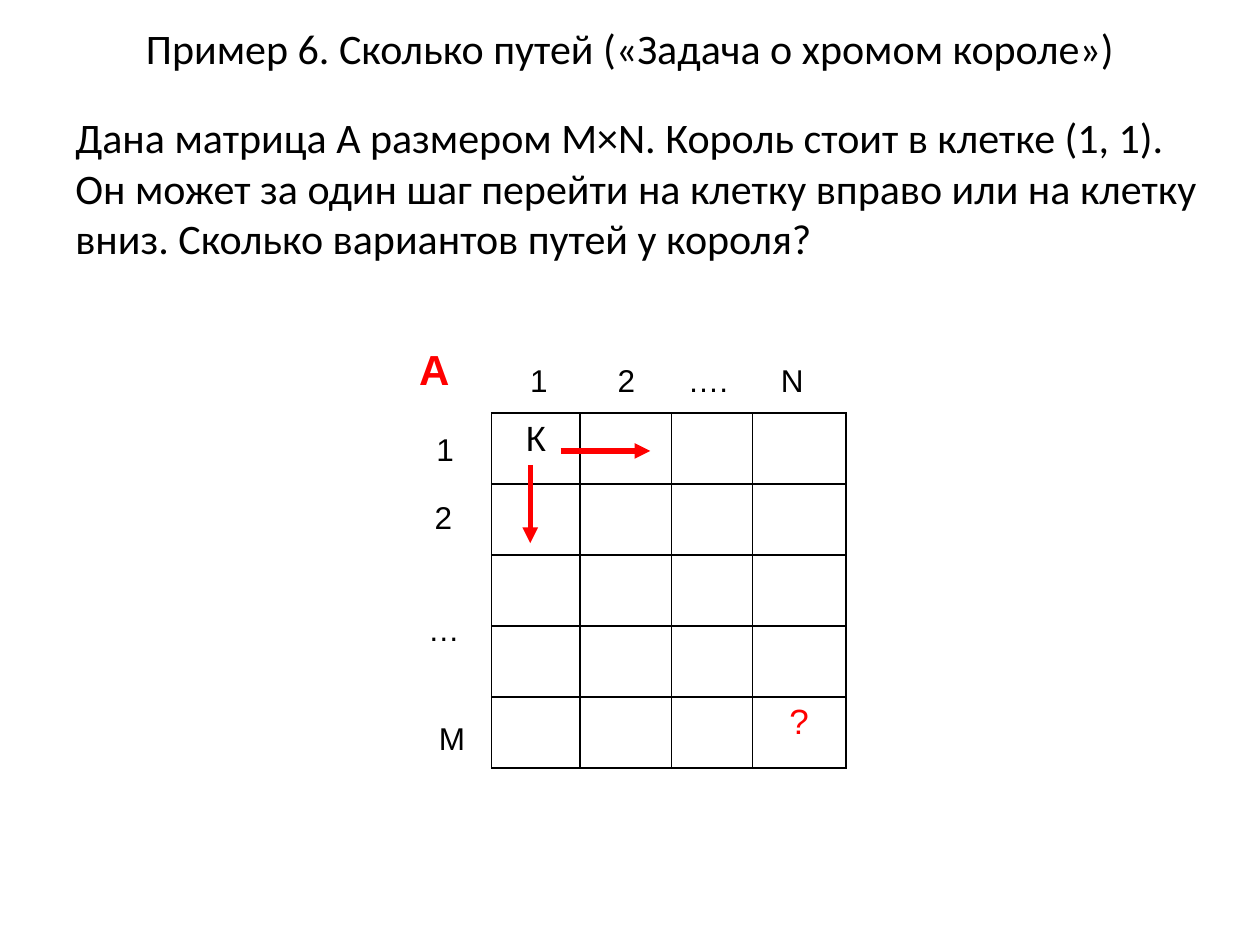
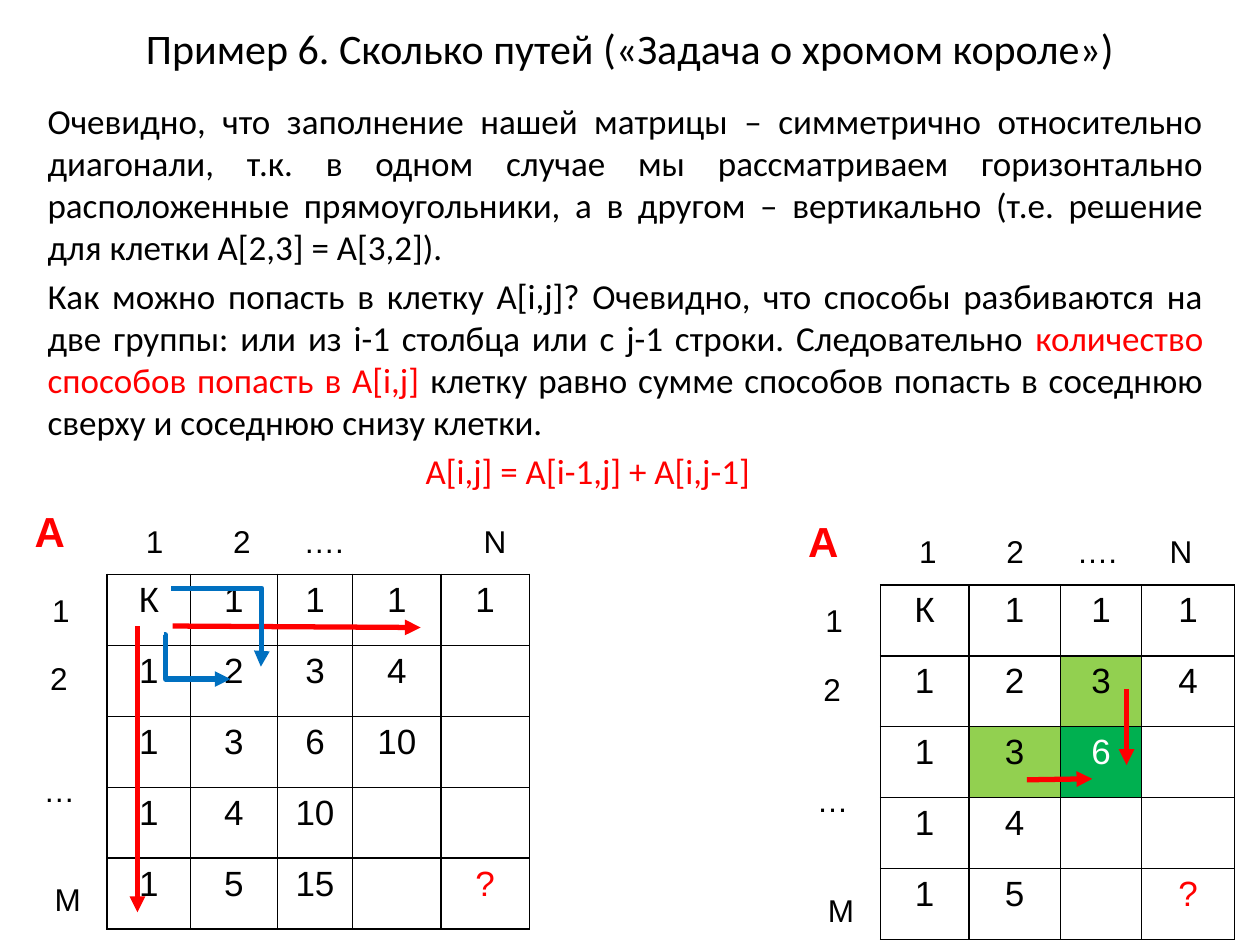
from dataclasses import dataclass, field

import pptx
import pptx.dml.color
import pptx.enum.shapes
import pptx.enum.text
import pptx.oxml
import pptx.oxml.ns
import pptx.oxml.xmlchemy
import pptx.presentation
import pptx.shapes.connector
import pptx.slide
import pptx.table
import pptx.text.text
import pptx.util
from lxml import etree

Cm = pptx.util.Cm
Pt = pptx.util.Pt
Align = pptx.enum.text.PP_ALIGN
Connector = pptx.enum.shapes.MSO_CONNECTOR
qn = pptx.oxml.ns.qn


# Shared look
@dataclass(frozen=True)
class Theme:
    black: str = "000000"
    white: str = "FFFFFF"
    red: str = "FF0000"
    blue: str = "0070C0"
    light_green: str = "92D050"
    dark_green: str = "00B050"
    text_font: str = "Calibri"
    matrix_font: str = "Arial"
    large: float = 24
    medium: float = 20
    label: float = 18
    arrow_width: float = 3
    border_width: float = 1


THEME = Theme()
TITLE = "Пример 6. Сколько путей («Задача о хромом короле»)"


# Descriptions of repeated elements; all lengths are centimetres
@dataclass(frozen=True)
class Box:
    left: float
    top: float
    width: float
    height: float


@dataclass(frozen=True)
class Style:
    size: float
    font: str = THEME.text_font
    color: str = THEME.black
    bold: bool = False


@dataclass(frozen=True)
class TextLine:
    runs: tuple[tuple[str, Style], ...]
    align: Align = Align.LEFT
    space_before: float = 0
    indent: float = 0
    tab_stops: tuple[float, ...] = ()


@dataclass(frozen=True)
class Arrow:
    start: tuple[float, float]
    end: tuple[float, float]
    color: str = THEME.red
    bend: float | None = None  # share of the width at which the elbow turns


@dataclass(frozen=True)
class RowLabel:
    text: str
    left: float
    top: float
    width: float


@dataclass(frozen=True)
class Matrix:
    left: float
    top: float
    columns: tuple[float, ...]
    rows: tuple[tuple[str, ...], ...]
    header_width: float
    header_stops: tuple[float, ...]
    arrows: tuple[Arrow, ...]
    fills: dict[tuple[int, int], str] = field(default_factory=dict)


ROW_HEIGHT = 1.43
LABEL_HEIGHT = 1.02
ROW_LABELS = (  # offsets from the corner of the matrix
    RowLabel("1", -1.36, 0.21, 0.86),
    RowLabel("2", -1.4, 1.59, 0.86),
    RowLabel("…", -1.53, 3.84, 1.14),
    RowLabel("M", -1.31, 6.04, 1.04),
)
BODY = Style(THEME.large)
BODY_SMALL = Style(THEME.medium)
BODY_RED = Style(THEME.medium, color=THEME.red)
LABEL = Style(THEME.label, THEME.matrix_font)
MATRIX_NAME = Style(THEME.large, THEME.matrix_font, THEME.red, True)


def rgb(color: str) -> pptx.dml.color.RGBColor:
    return pptx.dml.color.RGBColor.from_string(color)


# Text
def write_line(paragraph: pptx.text.text._Paragraph, line: TextLine) -> None:
    properties = paragraph._p.get_or_add_pPr()
    if line.indent:
        properties.set("marL", str(Cm(line.indent)))
    if line.tab_stops:
        tabs = etree.SubElement(properties, qn("a:tabLst"))
        for stop in line.tab_stops:
            etree.SubElement(tabs, qn("a:tab"), pos=str(Cm(stop)), algn="l")
    paragraph.alignment = line.align
    if line.space_before:
        paragraph.space_before = Pt(line.space_before)
    for text, style in line.runs:
        run = paragraph.add_run()
        run.text = text
        run.font.name = style.font
        run.font.size = Pt(style.size)
        run.font.bold = style.bold
        run.font.color.rgb = rgb(style.color)


def add_text(slide: pptx.slide.Slide, box: Box, *lines: TextLine,
             anchor=pptx.enum.text.MSO_ANCHOR.TOP) -> None:
    shape = slide.shapes.add_textbox(
        Cm(box.left), Cm(box.top), Cm(box.width), Cm(box.height))
    frame = shape.text_frame
    frame.word_wrap = True
    frame.vertical_anchor = anchor
    for index, line in enumerate(lines):
        paragraph = frame.add_paragraph() if index else frame.paragraphs[0]
        write_line(paragraph, line)


def add_titled_slide(presentation: pptx.presentation.Presentation) -> pptx.slide.Slide:
    slide = presentation.slides.add_slide(presentation.slide_layouts[6])
    add_text(slide, Box(1.27, 0.33, 22.86, 1.27),
             TextLine(((TITLE, BODY),), Align.CENTER),
             anchor=pptx.enum.text.MSO_ANCHOR.MIDDLE)
    return slide


# Arrows
def add_arrow(slide: pptx.slide.Slide, arrow: Arrow) -> None:
    kind = Connector.STRAIGHT if arrow.bend is None else Connector.ELBOW
    connector = slide.shapes.add_connector(
        kind, *(Cm(value) for value in arrow.start + arrow.end))
    connector.line.color.rgb = rgb(arrow.color)
    connector.line.width = Pt(THEME.arrow_width)
    properties = connector.element.find(qn("p:spPr"))
    etree.SubElement(properties.find(qn("a:ln")), qn("a:tailEnd"), type="triangle")
    etree.SubElement(properties, qn("a:effectLst"))
    if arrow.bend is not None:
        geometry = properties.find(qn("a:prstGeom"))
        for old_guides in geometry.findall(qn("a:avLst")):
            geometry.remove(old_guides)
        guides = etree.SubElement(geometry, qn("a:avLst"))
        etree.SubElement(guides, qn("a:gd"), name="adj1",
                         fmla=f"val {round(arrow.bend * 100000)}")


# Matrix with its row and column labels
def add_borders(cell: pptx.table._Cell) -> None:
    properties = cell._tc.get_or_add_tcPr()
    for index, side in enumerate(("lnL", "lnR", "lnT", "lnB")):
        border = etree.Element(qn(f"a:{side}"), w=str(Pt(THEME.border_width)))
        fill = etree.SubElement(border, qn("a:solidFill"))
        etree.SubElement(fill, qn("a:srgbClr"), val=THEME.black)
        properties.insert(index, border)


def cell_text_color(text: str, fill: str | None) -> str:
    if text == "?":
        return THEME.red
    return THEME.white if fill == THEME.dark_green else THEME.black


def add_matrix(slide: pptx.slide.Slide, matrix: Matrix) -> None:
    table = slide.shapes.add_table(
        len(matrix.rows), len(matrix.columns), Cm(matrix.left), Cm(matrix.top),
        Cm(sum(matrix.columns)), Cm(ROW_HEIGHT * len(matrix.rows))).table
    table.first_row = table.horz_banding = False
    for column, width in zip(table.columns, matrix.columns):
        column.width = Cm(width)
    for row_index, values in enumerate(matrix.rows):
        table.rows[row_index].height = Cm(ROW_HEIGHT)
        for column_index, text in enumerate(values):
            cell = table.cell(row_index, column_index)
            fill = matrix.fills.get((row_index, column_index))
            if fill:
                cell.fill.solid()
                cell.fill.fore_color.rgb = rgb(fill)
            else:
                cell.fill.background()
            add_borders(cell)
            if text:
                style = Style(THEME.medium, THEME.matrix_font, cell_text_color(text, fill))
                write_line(cell.text_frame.paragraphs[0],
                           TextLine(((text, style),), Align.CENTER))

    add_text(slide, Box(matrix.left - 1.71, matrix.top - 1.52, 1.19, 1.27),
             TextLine((("A", MATRIX_NAME),)))
    add_text(slide, Box(matrix.left, matrix.top - 1.18, matrix.header_width, LABEL_HEIGHT),
             TextLine((("\t1\t2\t….\tN", LABEL),), tab_stops=matrix.header_stops))
    for label in ROW_LABELS:
        add_text(slide, Box(matrix.left + label.left, matrix.top + label.top,
                            label.width, LABEL_HEIGHT),
                 TextLine(((label.text, LABEL),)))
    for arrow in matrix.arrows:
        add_arrow(slide, arrow)


# Content
NARROW = dict(columns=(1.78, 1.85, 1.63, 1.88), header_width=6.78,
              header_stops=(0.53, 2.29, 3.71, 5.58))
EMPTY_ROW = ("",) * 4

START_MATRIX = Matrix(
    9.91, 8.33, **NARROW,
    rows=(("К", "", "", ""), EMPTY_ROW, EMPTY_ROW, EMPTY_ROW, ("", "", "", "?")),
    arrows=(Arrow((11.3, 9.09), (13.11, 9.09)),
            Arrow((10.69, 9.37), (10.69, 10.95))),
)
SUM_MATRIX = Matrix(
    17.75, 11.79, **NARROW,
    rows=(("К", "1", "1", "1"),
          ("1", "2", "3", "4"),
          ("1", "3", "6", ""),
          ("1", "4", "", ""),
          ("1", "5", "", "?")),
    arrows=(Arrow((20.7, 15.72), (22.02, 15.7)),
            Arrow((22.71, 13.89), (22.71, 15.42))),
    fills={(1, 2): THEME.light_green, (2, 1): THEME.light_green,
           (2, 2): THEME.dark_green},
)
PATHS_MATRIX = Matrix(
    2.16, 11.58, columns=(1.68, 1.75, 1.52, 1.78, 1.78),
    header_width=8.53, header_stops=(0.53, 2.29, 3.71, 7.34),
    rows=(("К", "1", "1", "1", "1"),
          ("1", "2", "3", "4", ""),
          ("1", "3", "6", "10", ""),
          ("1", "4", "10", "", ""),
          ("1", "5", "15", "", "?")),
    arrows=(Arrow((3.48, 12.62), (8.48, 12.65)),
            Arrow((2.77, 12.62), (2.77, 18.39)),
            Arrow((3.45, 11.86), (5.26, 13.44), THEME.blue, 1.01),
            Arrow((3.3, 12.8), (4.65, 13.69), THEME.blue, 0.03)),
)
TASK = TextLine(((
    "Дана матрица A размером M×N. Король стоит в клетке (1, 1). Он может за один "
    "шаг перейти на клетку вправо или на клетку вниз. Сколько вариантов путей у "
    "короля?", BODY),))
SOLUTION = (
    TextLine(((
        "Очевидно, что заполнение нашей матрицы – симметрично относительно диагонали, "
        "т.к. в одном случае мы рассматриваем горизонтально расположенные "
        "прямоугольники, а в другом – вертикально (т.е. решение для клетки "
        "А[2,3] = A[3,2]).", BODY_SMALL),), Align.JUSTIFY),
    TextLine((
        ("Как можно попасть в клетку А[i,j]? Очевидно, что способы разбиваются на две "
         "группы: или из i-1 столбца или с j-1 строки. Следовательно ", BODY_SMALL),
        ("количество способов попасть в А[i,j] ", BODY_RED),
        ("клетку равно сумме способов попасть в соседнюю сверху и соседнюю снизу "
         "клетки.", BODY_SMALL)), Align.JUSTIFY, space_before=4),
    TextLine((("А[i,j] = А[i-1,j] + А[i,j-1]", BODY_RED),), space_before=4, indent=7.62),
)


def main() -> None:
    presentation = pptx.Presentation()
    presentation.slide_width, presentation.slide_height = Cm(25.4), Cm(19.05)

    # Slide 1: the task
    slide = add_titled_slide(presentation)
    add_text(slide, Box(1.27, 2.13, 23.24, 15.01), TASK)
    add_matrix(slide, START_MATRIX)

    # Slide 2: the recurrence
    slide = add_titled_slide(presentation)
    add_text(slide, Box(0.71, 1.88, 23.8, 15.44), *SOLUTION)
    add_matrix(slide, SUM_MATRIX)
    add_matrix(slide, PATHS_MATRIX)

    presentation.save("out.pptx")


if __name__ == "__main__":
    main()
